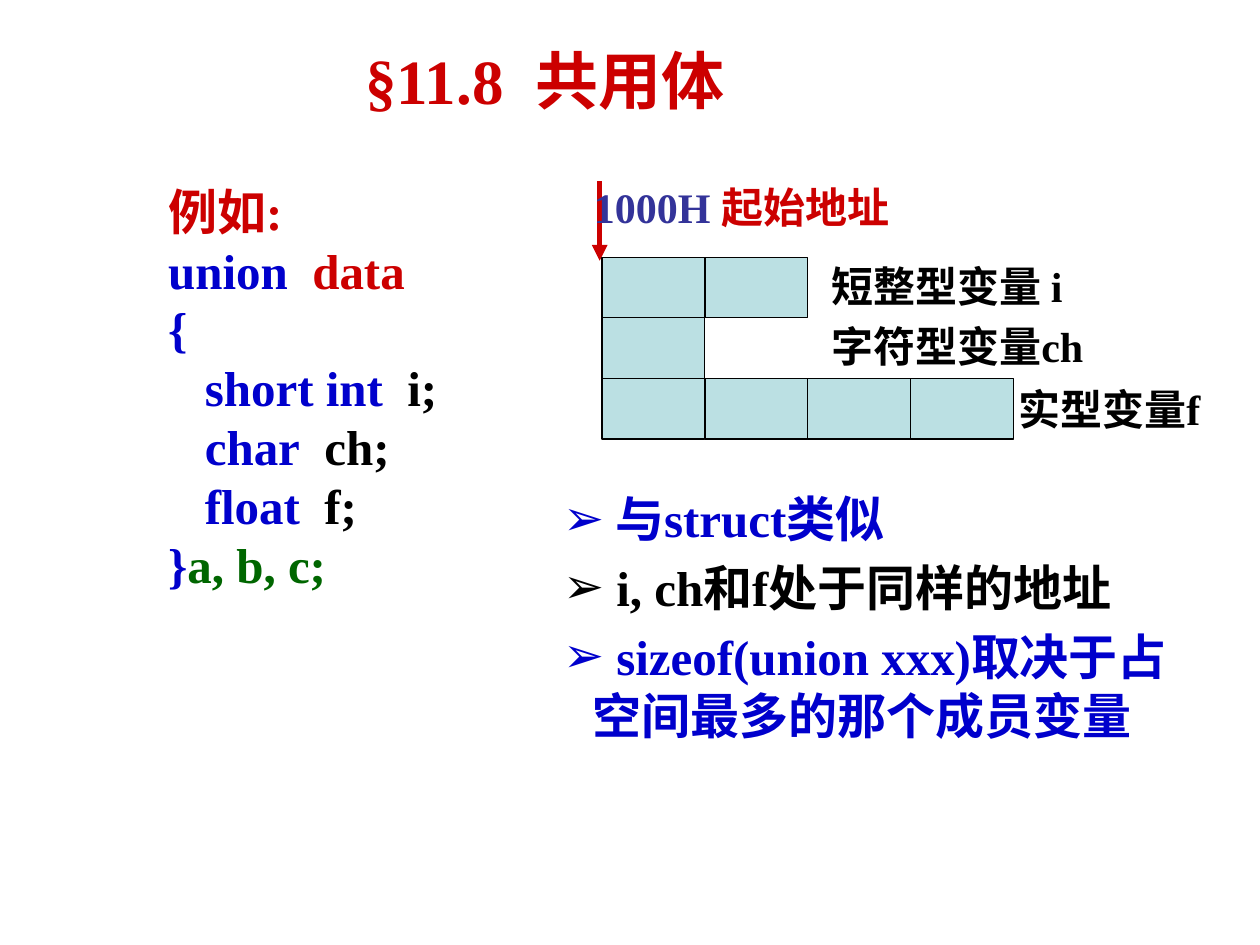
from lxml import etree
from pptx import Presentation
from pptx.dml.color import RGBColor
from pptx.enum import shapes, text
from pptx.oxml.ns import qn
from pptx.util import Pt

FONT = "Times New Roman"
BLACK = RGBColor(0x00, 0x00, 0x00)
RED = RGBColor(0xCC, 0x00, 0x00)
BLUE = RGBColor(0x00, 0x00, 0xCC)
GREEN = RGBColor(0x00, 0x66, 0x00)
INDIGO = RGBColor(0x33, 0x33, 0x99)
CELL_FILL = RGBColor(0xBB, 0xE0, 0xE3)

GRID_LEFT, GRID_TOP = 344, 147
CELL_WIDTH, CELL_HEIGHT = 58.8, 34.6
BYTES_PER_MEMBER = [2, 1, 4]
BULLET_INDENT = 17

CODE = [
    [("例如:", RED)],
    [("union  ", BLUE), ("data", RED)],
    [("{", BLUE)],
    [("   short int", BLUE), ("  i;", BLACK)],
    [("   char", BLUE), ("  ch;", BLACK)],
    [("   float", BLUE), ("  f;", BLACK)],
    [("}", BLUE), ("a, b, c;", GREEN)],
]
POINTS = [
    (" 与struct类似", BLUE),
    (" i, ch和f处于同样的地址", BLACK),
    (" sizeof(union xxx)取决于占空间最多的那个成员变量", BLUE),
]


def place(shape, left, top, width, height):
    shape.left, shape.top = Pt(left), Pt(top)
    shape.width, shape.height = Pt(width), Pt(height)


def set_font(paragraph, size, color=None):
    font = paragraph.font
    font.name, font.size, font.bold = FONT, Pt(size), True
    if color is not None:
        font.color.rgb = color


def add_title(slide, words):
    title = slide.shapes.title
    place(title, 201.6, 20, 240, 50.4)
    title.text_frame.auto_size = text.MSO_AUTO_SIZE.NONE
    title.text_frame.vertical_anchor = text.MSO_ANCHOR.TOP
    para = title.text_frame.paragraphs[0]
    para.text = words
    para.alignment = text.PP_ALIGN.LEFT
    set_font(para, 36, RED)


def add_bullet(para):
    """Give the paragraph a hanging arrowhead bullet."""
    properties = para._p.get_or_add_pPr()
    properties.set("marL", str(Pt(BULLET_INDENT)))
    properties.set("indent", str(-Pt(BULLET_INDENT)))
    etree.SubElement(properties, qn("a:buChar"), char="➢")


def add_points(slide, points):
    body = slide.placeholders[1]
    place(body, 314.6, 275.8, 368.6, 155.5)
    frame = body.text_frame
    frame.auto_size = text.MSO_AUTO_SIZE.NONE
    for index, (words, color) in enumerate(points):
        para = frame.add_paragraph() if index else frame.paragraphs[0]
        para.text = words
        para.space_before = Pt(5.6 if index else 0)
        add_bullet(para)
        set_font(para, 28, color)


def add_code(slide, lines):
    box = slide.shapes.add_textbox(Pt(89), Pt(100), Pt(192), Pt(242.6))
    frame = box.text_frame
    frame.word_wrap = True
    for index, spans in enumerate(lines):
        para = frame.add_paragraph() if index else frame.paragraphs[0]
        for words, color in spans:
            span = para.add_run()
            span.text = words
            span.font.color.rgb = color
        set_font(para, 28)


def add_label(slide, words, bounds, color=BLACK, spacing=1.0, centered=False):
    box = slide.shapes.add_textbox(*map(Pt, bounds))
    box.text_frame.word_wrap = True
    para = box.text_frame.paragraphs[0]
    para.text = words
    para.line_spacing = spacing
    if centered:
        para.alignment = text.PP_ALIGN.CENTER
    set_font(para, 24, color)


def add_arrow(slide, x, top, bottom):
    arrow = slide.shapes.add_connector(
        shapes.MSO_CONNECTOR.STRAIGHT, Pt(x), Pt(top), Pt(x), Pt(bottom))
    arrow.line.color.rgb = RED
    arrow.line.width = Pt(3)
    etree.SubElement(arrow.line._get_or_add_ln(), qn("a:tailEnd"), type="triangle")
    etree.SubElement(arrow._element.spPr, qn("a:effectLst"))


def add_memory_grid(slide):
    """Draw one row per union member, with one cell per byte."""
    for row, count in enumerate(BYTES_PER_MEMBER):
        for column in range(count):
            cell = slide.shapes.add_shape(
                shapes.MSO_SHAPE.RECTANGLE,
                Pt(GRID_LEFT + column * CELL_WIDTH),
                Pt(GRID_TOP + row * CELL_HEIGHT),
                Pt(CELL_WIDTH), Pt(CELL_HEIGHT))
            cell.shadow.inherit = False
            cell.fill.solid()
            cell.fill.fore_color.rgb = CELL_FILL
            cell.line.color.rgb = BLACK
            cell.line.width = Pt(0.75)


def main():
    deck = Presentation()
    deck.slide_width, deck.slide_height = Pt(720), Pt(540)
    slide = deck.slides.add_slide(deck.slide_layouts[1])

    add_title(slide, "§11.8  共用体")
    add_code(slide, CODE)
    add_label(slide, "短整型变量 i", (468, 151, 158.4, 30), spacing=0.8)
    add_label(slide, "字符型变量ch", (468, 185, 181.4, 30), spacing=0.8)
    add_label(slide, "实型变量f", (558.7, 219, 150.5, 33), spacing=0.9, centered=True)
    add_label(slide, "起始地址", (405.4, 100, 113, 36), RED)
    add_arrow(slide, 342.7, 103.7, 149)
    add_memory_grid(slide)
    add_label(slide, "1000H", (332, 100, 81.4, 36), INDIGO, centered=True)
    add_points(slide, POINTS)

    deck.save("out.pptx")


if __name__ == "__main__":
    main()
